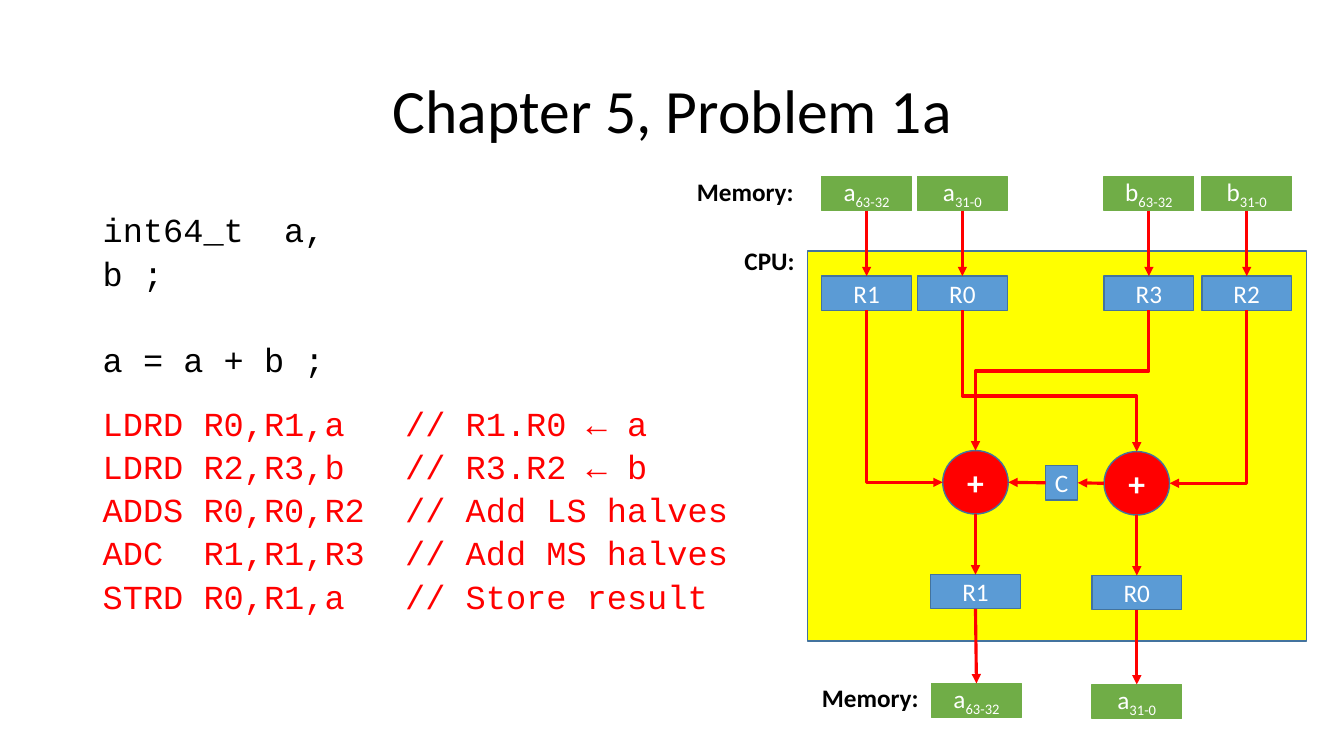
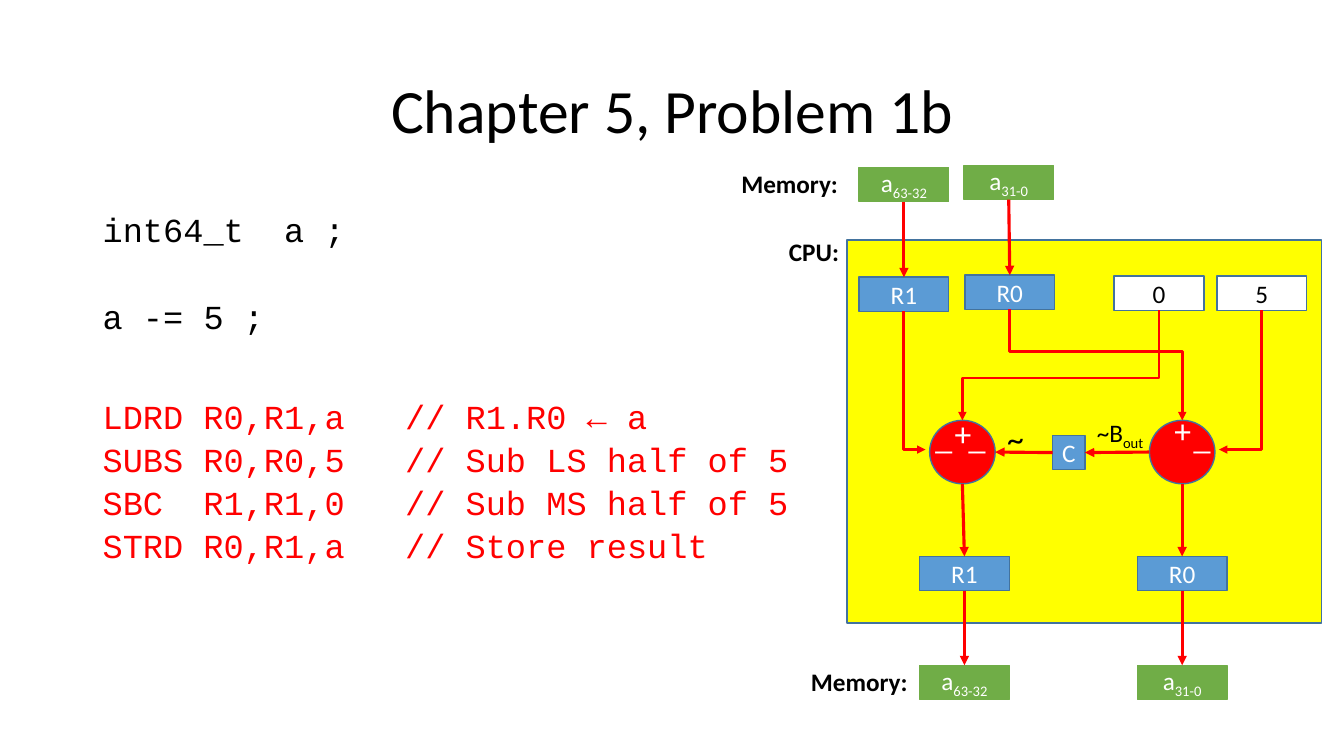
from lxml import etree
from pptx import Presentation
from pptx import util as u
from pptx.dml.color import RGBColor
from pptx.enum import shapes, text
from pptx.oxml import ns

Inches, Pt = u.Inches, u.Pt
COLORS = {"black": "000000", "white": "FFFFFF", "red": "FF0000", "yellow": "FFFF00",
          "green": "70AD47", "blue": "5B9BD5", "navy": "43739E"}
RGB = {name: RGBColor.from_string(value) for name, value in COLORS.items()}
RECT, OVAL = shapes.MSO_SHAPE.RECTANGLE, shapes.MSO_SHAPE.OVAL
PRESET = shapes.MSO_SHAPE_TYPE.AUTO_SHAPE
LEFT, CENTER, RIGHT = text.PP_ALIGN.LEFT, text.PP_ALIGN.CENTER, text.PP_ALIGN.RIGHT

NODES = {
    "cpu": (RECT, 0, 0, "yellow", "navy", "black", 18, False),
    "memory": (RECT, 0.89, 0.34, "green", "green", "white", 18, False),
    "register": (RECT, 0.89, 0.34, "blue", "navy", "white", 18, False),
    "constant": (RECT, 0.89, 0.34, "white", "navy", "black", 18, False),
    "carry": (RECT, 0.32, 0.34, "blue", "navy", "white", 18, False),
    "adder": (OVAL, 0.65, 0.63, "red", "navy", "white", 24, True),
}
LABELS = {
    "caption": (18, "black", True, RIGHT, 0.4),
    "sign": (24, "white", False, LEFT, 0.5),
    "inverted": (24, "black", False, LEFT, 0.5),
    "borrow": (18, "black", False, LEFT, 0.4),
}
SITES = {"top": 0, "left": 1, "bottom": 2, "right": 3}

PROBLEMS = [
    {
        "title": "Chapter 5, Problem 1a",
        "declaration": (2, 3.05, 1.64, ["int64_t  a, b ; ", "a = a + b ;"]),
        "assembly": (3.92, 7.49, 2.32, [
            "LDRD\tR0,R1,a\t// R1.R0 ← a",
            "LDRD\tR2,R3,b\t// R3.R2 ← b",
            "ADDS\tR0,R0,R2\t// Add LS halves",
            "ADC\tR1,R1,R3\t// Add MS halves",
            "STRD\tR0,R1,a\t// Store result"]),
        "cpu": (8.01, 2.49, 4.95, 3.87),
        "nodes": [
            ("low adder", "adder", "+", 10.95, 4.48),
            ("high adder", "adder", "+", 9.35, 4.47),
            ("a high", "memory", "a|63-32", 8.15, 1.75),
            ("a low", "memory", "a|31-0", 9.1, 1.75),
            ("b high", "memory", "b|63-32", 10.95, 1.75),
            ("b low", "memory", "b|31-0", 11.92, 1.75),
            ("R1", "register", "R1", 8.15, 2.74),
            ("R0", "register", "R0", 9.1, 2.74),
            ("R3", "register", "R3", 10.95, 2.74),
            ("R2", "register", "R2", 11.92, 2.74),
            ("low result", "register", "R0", 10.83, 5.71),
            ("high result", "register", "R1", 9.23, 5.7),
            ("stored high", "memory", "a|63-32", 9.24, 6.78),
            ("stored low", "memory", "a|31-0", 10.83, 6.79),
            ("C", "carry", "C", 10.37, 4.62)],
        "labels": [
            ("source", "caption", "Memory:", 6.61, 1.7, 1.36),
            ("target", "caption", "Memory:", 7.85, 6.72, 1.36),
            ("processor", "caption", "CPU:", 6.62, 2.38, 1.36)],
        "loads": [("a high", "R1"), ("a low", "R0"), ("b high", "R3"), ("b low", "R2")],
        "bend width": 2.25,
        "bends": [
            ("R0", "low adder", "top", 3.93),
            ("R2", "low adder", "right", None),
            ("R1", "high adder", "left", None),
            ("R3", "high adder", "top", 3.68)],
    },
    {
        "title": "Chapter 5, Problem 1b",
        "declaration": (2, 2.8, 1.61, ["int64_t  a ;", "a -= 5 ;"]),
        "assembly": (3.85, 8.2, 1.88, [
            "LDRD\tR0,R1,a\t// R1.R0 ← a",
            "SUBS\tR0,R0,5\t// Sub LS half of 5",
            "SBC\tR1,R1,0\t// Sub MS half of 5",
            "STRD\tR0,R1,a\t// Store result"]),
        "cpu": (8.4, 2.38, 4.71, 3.8),
        "nodes": [
            ("low adder", "adder", "", 11.4, 4.17),
            ("high adder", "adder", "", 9.22, 4.17),
            ("a high", "memory", "a|63-32", 8.52, 1.66),
            ("a low", "memory", "a|31-0", 9.56, 1.64),
            ("R1", "register", "R1", 8.52, 2.75),
            ("R0", "register", "R0", 9.57, 2.73),
            ("zero", "constant", "0", 11.05, 2.74),
            ("five", "constant", "5", 12.07, 2.74),
            ("low result", "register", "R0", 11.28, 5.52),
            ("high result", "register", "R1", 9.12, 5.52),
            ("stored high", "memory", "a|63-32", 9.12, 6.6),
            ("stored low", "memory", "a|31-0", 11.28, 6.6),
            ("C", "carry", "C", 10.44, 4.32)],
        "labels": [
            ("source", "caption", "Memory:", 7.05, 1.62, 1.36),
            ("target", "caption", "Memory:", 7.74, 6.56, 1.36),
            ("processor", "caption", "CPU:", 7.06, 2.3, 1.36),
            ("high plus", "sign", "+", 9.37, 4.05, 0.38),
            ("high minus", "sign", "─", 9.18, 4.21, 0.4),
            ("borrow minus", "sign", "─", 9.51, 4.21, 0.4),
            ("low plus", "sign", "+", 11.55, 4.02, 0.73),
            ("low minus", "sign", "─", 11.74, 4.21, 0.35),
            ("inverse", "inverted", "~", 9.89, 4.1, 0.34),
            ("borrow out", "borrow", "~B|out", 10.78, 4.09, 0.8)],
        "loads": [("a high", "R1"), ("a low", "R0")],
        "bend width": 2,
        "bends": [
            ("R1", "high minus", "left", None),
            ("R0", "low adder", "top", 3.49),
            ("five", "low minus", "right", None),
            ("zero", "high adder", "top", 3.75)],
    },
]
RESULTS = [("high adder", "high result"), ("low adder", "low result"),
           ("high result", "stored high"), ("low result", "stored low")]


def write(paragraph, wording, size, ink, bold=False, align=LEFT, font="Calibri"):
    paragraph.alignment = align
    for position, part in enumerate(wording.split("|")):
        run = paragraph.add_run()
        run.text = part
        run.font.name, run.font.size, run.font.bold = font, Pt(size), bold
        run.font.color.rgb = RGB[ink]
        if position:
            run._r.get_or_add_rPr().set("baseline", "-25000")


def wire(slide, start, exit_side, end, entry_side, width=2.25, bent=False, turn=None):
    ends = []
    for part, side in ((start, exit_side), (end, entry_side)):
        x = part.left + {"left": 0, "right": part.width}.get(side, part.width // 2)
        y = part.top + {"top": 0, "bottom": part.height}.get(side, part.height // 2)
        is_oval = part.shape_type == PRESET and part.auto_shape_type == OVAL
        ends.append((x, y, SITES[side] * (2 if is_oval else 1)))
    (x1, y1, exit_site), (x2, y2, entry_site) = ends
    if bent:
        across, down = abs(x2 - x1), y2 - y1
        left, top = (x1 + x2 - down) // 2, (y1 + y2 - across) // 2
        link = slide.shapes.add_connector(
            shapes.MSO_CONNECTOR.ELBOW, left, top, left + down, top + across)
        frame = link._element.spPr.find(ns.qn("a:xfrm"))
        frame.set("rot", "16200000" if x2 > x1 else "5400000")
        if x2 > x1:
            frame.set("flipH", "1")
        geometry = link._element.spPr.find(ns.qn("a:prstGeom"))
        if turn is None:
            geometry.set("prst", "bentConnector2")
        else:
            ratio = round((Inches(turn) - y1) / down * 100000)
            etree.SubElement(geometry.find(ns.qn("a:avLst")), ns.qn("a:gd"),
                             name="adj1", fmla=f"val {ratio}")
    else:
        link = slide.shapes.add_connector(shapes.MSO_CONNECTOR.STRAIGHT, x1, y1, x2, y2)
    link._connect_begin_to(start, exit_site)
    link._connect_end_to(end, entry_site)
    link.line.color.rgb = RGB["red"]
    link.line.width = Pt(width)
    etree.SubElement(link.line._get_or_add_ln(), ns.qn("a:tailEnd"), type="triangle")
    etree.SubElement(link._element.spPr, ns.qn("a:effectLst"))


deck = Presentation()
deck.slide_width, deck.slide_height = Inches(13.33), Inches(7.5)

for problem in PROBLEMS:
    slide = deck.slides.add_slide(deck.slide_layouts[5])
    title = slide.shapes.title
    title.left, title.top = Inches(0.92), Inches(0.4)
    title.width, title.height = Inches(11.5), Inches(1.45)
    title.text_frame.vertical_anchor = text.MSO_ANCHOR.MIDDLE
    heading = title.text_frame.paragraphs[0]
    heading.line_spacing = 0.9
    write(heading, problem["title"], 44, "black", align=CENTER)

    parts = {}
    cpu_left, cpu_top, cpu_width, cpu_height = problem["cpu"]
    for name, kind, wording, left, top in [("cpu", "cpu", "", cpu_left, cpu_top)] + problem["nodes"]:
        outline, width, height, fill, border, ink, size, bold = NODES[kind]
        if kind == "cpu":
            width, height = cpu_width, cpu_height
        node = slide.shapes.add_shape(
            outline, Inches(left), Inches(top), Inches(width), Inches(height))
        node.shadow.inherit = False
        node.fill.solid()
        node.fill.fore_color.rgb = RGB[fill]
        node.line.color.rgb = RGB[border]
        node.line.width = Pt(1)
        frame = node.text_frame
        frame.margin_left = frame.margin_right = frame.margin_top = frame.margin_bottom = 0
        frame.vertical_anchor = text.MSO_ANCHOR.MIDDLE
        if wording:
            write(frame.paragraphs[0], wording, size, ink, bold, CENTER)
        parts[name] = node

    for section, ink, gap in (("declaration", "black", 31), ("assembly", "red", 0)):
        top, width, height, lines = problem[section]
        listing = slide.shapes.add_textbox(
            Inches(0.92), Inches(top), Inches(width), Inches(height)).text_frame
        listing.word_wrap = True
        for number, line in enumerate(lines):
            paragraph = listing.add_paragraph() if number else listing.paragraphs[0]
            paragraph.line_spacing = 1.07
            paragraph.space_before = Pt(gap if number else 0)
            write(paragraph, line, 24, ink, font="Courier New")
            stops = etree.SubElement(paragraph._p.get_or_add_pPr(), ns.qn("a:tabLst"))
            for column in (1, 3):
                etree.SubElement(stops, ns.qn("a:tab"), pos=str(Inches(column)), algn="l")

    for name, kind, wording, left, top, width in problem["labels"]:
        size, ink, bold, align, height = LABELS[kind]
        label = slide.shapes.add_textbox(
            Inches(left), Inches(top), Inches(width), Inches(height))
        label.text_frame.word_wrap = True
        write(label.text_frame.paragraphs[0], wording, size, ink, bold, align)
        parts[name] = label

    for start, end in problem["loads"] + RESULTS:
        wire(slide, parts[start], "bottom", parts[end], "top")
    for start, end in (("low adder", "C"), ("C", "high adder")):
        wire(slide, parts[start], "left", parts[end], "right")
    for start, end, side, turn in problem["bends"]:
        wire(slide, parts[start], "bottom", parts[end], side, problem["bend width"], True, turn)

deck.save("out.pptx")
